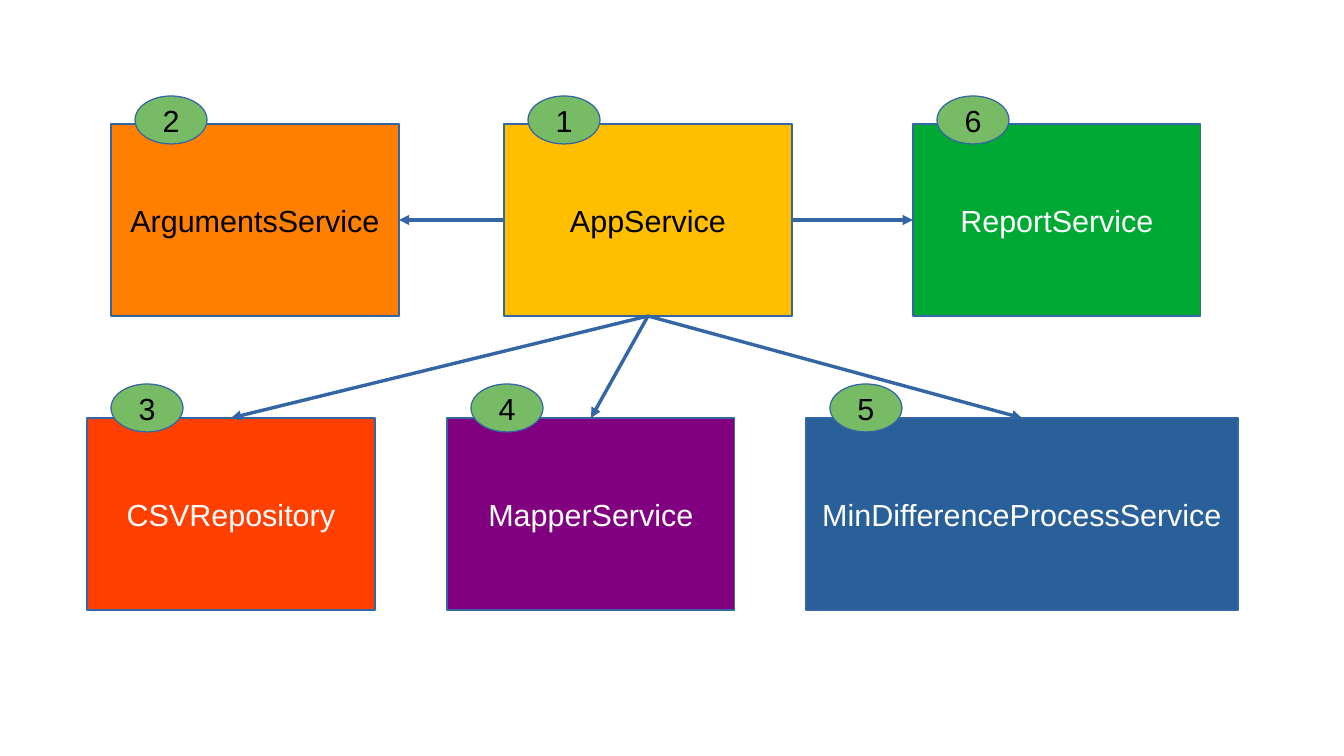
from collections import namedtuple
from dataclasses import dataclass

from lxml.etree import SubElement
from pptx import Presentation
from pptx.dml.color import RGBColor
from pptx.enum.shapes import MSO_CONNECTOR as Link, MSO_SHAPE as Shape
from pptx.enum.text import MSO_ANCHOR as Anchor, PP_ALIGN as Align
from pptx.oxml.ns import qn
from pptx.util import Emu, Pt

Service = namedtuple("Service", "step name row left width fill ink")

SERVICES = [
    Service("1", "AppService", "upper", 504, 288, "FFBF00", "000000"),
    Service("2", "ArgumentsService", "upper", 111, 288, "FF8000", "000000"),
    Service("3", "CSVRepository", "lower", 87, 288, "FF4000", "FFFFFF"),
    Service("4", "MapperService", "lower", 447, 288, "800080", "FFFFFF"),
    Service("5", "MinDifferenceProcessService", "lower", 806, 432, "2A6099", "FFFFFF"),
    Service("6", "ReportService", "upper", 913, 288, "00A933", "FFFFFF"),
]
TOP, LEFT, BOTTOM, RIGHT = range(4)
CALLS = [
    ("AppService", BOTTOM, "MapperService", TOP),
    ("AppService", BOTTOM, "MinDifferenceProcessService", TOP),
    ("AppService", BOTTOM, "CSVRepository", TOP),
    ("AppService", RIGHT, "ReportService", LEFT),
    ("AppService", LEFT, "ArgumentsService", RIGHT),
]
BOX_TOP = {"upper": 124, "lower": 418}
BADGE_TOP = {"upper": 96, "lower": 384}
BOX_HEIGHT = 192
BADGE_INSET, BADGE_WIDTH, BADGE_HEIGHT = 24, 72, 48
SLIDE_WIDTH, SLIDE_HEIGHT = 1344, 756
PX_PER_INCH = 122


@dataclass(frozen=True)
class Theme:
    font: str = "Arial"
    size: int = 18
    line: str = "3465A4"
    badge: str = "77BC65"
    badge_ink: str = "000000"


THEME = Theme()


def px(length):
    return Emu(round(length * 914400 / PX_PER_INCH))


def style_line(line):
    line.color.rgb = RGBColor.from_string(THEME.line)
    line.width = Pt(0)


def add_label(slide, kind, bounds, text, fill, ink):
    shape = slide.shapes.add_shape(kind, *map(px, bounds))
    shape.shadow.inherit = False
    shape.fill.solid()
    shape.fill.fore_color.rgb = RGBColor.from_string(fill)
    style_line(shape.line)
    frame = shape.text_frame
    frame.word_wrap = False
    frame.vertical_anchor = Anchor.MIDDLE
    paragraph = frame.paragraphs[0]
    paragraph.alignment = Align.CENTER
    run = paragraph.add_run()
    run.text = text
    run.font.name = THEME.font
    run.font.size = Pt(THEME.size)
    run.font.color.rgb = RGBColor.from_string(ink)
    return shape


def add_arrow(slide, caller, exit_side, callee, entry_side):
    arrow = slide.shapes.add_connector(Link.STRAIGHT, 0, 0, 0, 0)
    arrow.begin_connect(caller, exit_side)
    arrow.end_connect(callee, entry_side)
    style_line(arrow.line)
    SubElement(arrow.line._get_or_add_ln(), qn("a:tailEnd"), type="triangle")
    SubElement(arrow._element.spPr, qn("a:effectLst"))


def main():
    deck = Presentation()
    deck.slide_width, deck.slide_height = px(SLIDE_WIDTH), px(SLIDE_HEIGHT)
    slide = deck.slides.add_slide(deck.slide_layouts[6])

    boxes = {}
    for service in SERVICES:
        bounds = (service.left, BOX_TOP[service.row], service.width, BOX_HEIGHT)
        boxes[service.name] = add_label(
            slide, Shape.RECTANGLE, bounds, service.name, service.fill, service.ink
        )

    for caller, exit_side, callee, entry_side in CALLS:
        add_arrow(slide, boxes[caller], exit_side, boxes[callee], entry_side)

    for service in SERVICES:
        bounds = (
            service.left + BADGE_INSET, BADGE_TOP[service.row],
            BADGE_WIDTH, BADGE_HEIGHT,
        )
        add_label(slide, Shape.OVAL, bounds, service.step, THEME.badge, THEME.badge_ink)

    deck.save("out.pptx")


if __name__ == "__main__":
    main()
